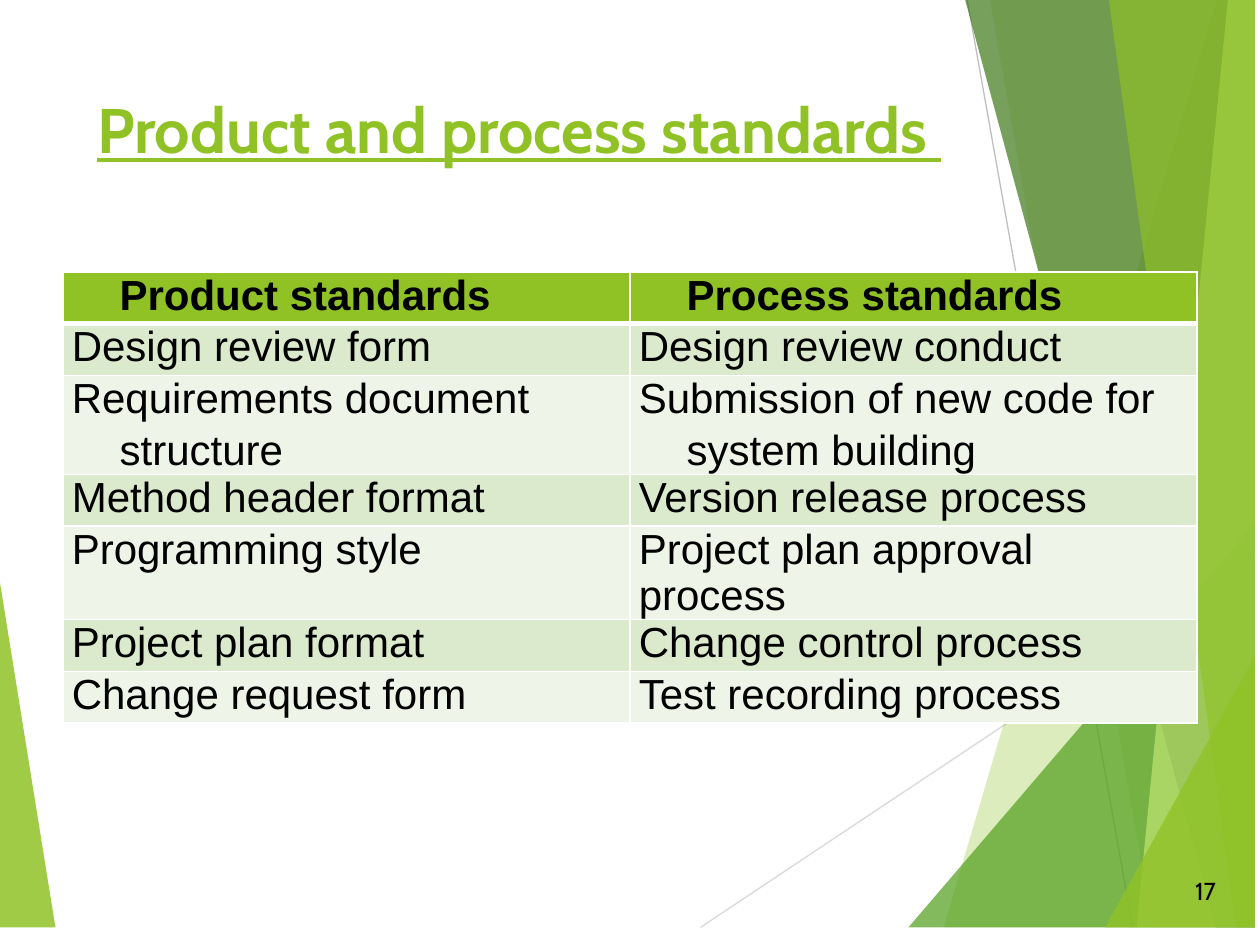
from lxml.etree import SubElement
from pptx import Presentation
from pptx.dml.color import RGBColor
from pptx.enum.shapes import MSO_CONNECTOR
from pptx.enum.text import MSO_ANCHOR, MSO_AUTO_SIZE, PP_ALIGN
from pptx.oxml.ns import qn
from pptx.util import Inches, Pt

THEME = {
    "green": "90C226", "leaf": "54A021", "forest": "3F7819", "lime": "C0E474",
    "band": ["EEF4E8", "DBE9CD"], "border": "FFFFFF", "text": "000000",
    "title_font": "Cabin", "table_font": "Arial",
    "title_size": Pt(36), "table_size": Pt(24), "number_size": Pt(14),
}


def style_font(font, name, size, color, bold=False):
    font.name, font.size, font.bold = name, size, bold
    font.color.rgb = RGBColor.from_string(color)


def add_border(cell, side, width):
    line = SubElement(cell._tc.get_or_add_tcPr(), qn(f"a:{side}"), w=str(Pt(width)))
    fill = SubElement(line, qn("a:solidFill"))
    SubElement(fill, qn("a:srgbClr"), val=THEME["border"])


presentation = Presentation()
presentation.slide_width, presentation.slide_height = Inches(10), Inches(7.5)
slide = presentation.slides.add_slide(presentation.slide_layouts[5])
shapes = slide.shapes

# Background facets: colour, opacity in percent, corners in inches
TOP, BOTTOM, RIGHT = -0.15, 7.36, 9.96
left_facet = ("green", 85, [(-0.06, 4.25), (0.44, BOTTOM), (-0.06, BOTTOM)])
right_facets = [
    ("green", 30, [(9.7, TOP), (7.49, BOTTOM), (RIGHT, BOTTOM), (RIGHT, TOP)]),
    ("green", 20, [(7.83, TOP), (9.15, BOTTOM), (RIGHT, BOTTOM), (RIGHT, TOP)]),
    ("leaf", 72, [(7.21, BOTTOM), (RIGHT, 4.15), (RIGHT, BOTTOM)]),
    ("forest", 70, [(7.62, TOP), (9.65, BOTTOM), (RIGHT, BOTTOM), (RIGHT, TOP)]),
    ("lime", 70, [(9.76, TOP), (9.02, BOTTOM), (RIGHT, BOTTOM), (RIGHT, TOP)]),
    ("green", 65, [(8.78, TOP), (9.81, BOTTOM), (RIGHT, BOTTOM), (RIGHT, TOP)]),
    ("green", 80, [(8.77, BOTTOM), (RIGHT, 5.21), (RIGHT, BOTTOM)]),
]
hairlines = [("D9D9D9", (5.56, BOTTOM), (RIGHT, 4.43)),
             ("BFBFBF", (7.65, TOP), (8.99, BOTTOM))]

for color, start, end in hairlines:
    hairline = shapes.add_connector(
        MSO_CONNECTOR.STRAIGHT, *map(Inches, start), *map(Inches, end))
    hairline.line.color.rgb = RGBColor.from_string(color)
    hairline.line.width = Pt(0.75)
    SubElement(hairline._element.spPr, qn("a:effectLst"))

for color, opacity, corners in [left_facet, *right_facets]:
    start, *others = [(Inches(x), Inches(y)) for x, y in corners]
    builder = shapes.build_freeform(*start)
    builder.add_line_segments(others)
    facet = builder.convert_to_shape()
    facet.shadow.inherit = False
    facet.line.fill.background()
    facet.fill.solid()
    facet.fill.fore_color.rgb = RGBColor.from_string(THEME[color])
    color_element = facet._element.spPr.find(".//" + qn("a:srgbClr"))
    SubElement(color_element, qn("a:alpha"), val=str(opacity * 1000))

# Title, brought in front of the facets
title = shapes.title
title.left, title.top = Inches(0.67), Inches(0.67)
title.width, title.height = Inches(8.41), Inches(1.44)
title.text_frame.text = "Product and process standards "
title.text_frame.vertical_anchor = MSO_ANCHOR.TOP
title.text_frame.auto_size = MSO_AUTO_SIZE.NONE
paragraph = title.text_frame.paragraphs[0]
paragraph.alignment = PP_ALIGN.LEFT
style_font(paragraph.font, THEME["title_font"], THEME["title_size"], THEME["green"], True)
paragraph.font.underline = True
title.element.getparent().append(title.element)

# Table of standards; a line break starts an indented second paragraph
rows = [
    ("Product standards", "Process standards"),
    ("Design review form", "Design review conduct"),
    ("Requirements document\nstructure", "Submission of new code for\nsystem building"),
    ("Method header format", "Version release process"),
    ("Programming style", "Project plan approval process"),
    ("Project plan format", "Change control process"),
    ("Change request form", "Test recording process"),
]
ROW_HEIGHT = Inches(0.41)
table = shapes.add_table(len(rows), 2, Inches(0.5), Inches(2.16),
                         Inches(9), ROW_HEIGHT * len(rows)).table
for row_index, row in enumerate(rows):
    table.rows[row_index].height = ROW_HEIGHT
    is_header = row_index == 0
    for column_index, text in enumerate(row):
        cell = table.cell(row_index, column_index)
        cell.text = text
        cell.margin_left = cell.margin_right = Inches(0.07)
        cell.margin_top = cell.margin_bottom = 0
        for side in ("lnL", "lnR", "lnT", "lnB"):
            is_header_rule = (row_index, side) in ((0, "lnB"), (1, "lnT"))
            add_border(cell, side, 3 if is_header_rule else 1)
        cell.fill.solid()
        cell.fill.fore_color.rgb = RGBColor.from_string(
            THEME["green"] if is_header else THEME["band"][row_index % 2])
        for paragraph_index, paragraph in enumerate(cell.text_frame.paragraphs):
            style_font(paragraph.font, THEME["table_font"], THEME["table_size"],
                       THEME["text"], is_header)
            paragraph.space_after = Pt(3)
            if is_header:
                paragraph.space_before = Pt(3)
                paragraph.alignment = PP_ALIGN.JUSTIFY
            if is_header or paragraph_index > 0:
                paragraph._p.get_or_add_pPr().set("indent", str(Inches(0.38)))

# Slide number
number = shapes.add_textbox(Inches(9.19), Inches(6.87), Inches(0.56), Inches(0.4))
number.text_frame.word_wrap = True
number.text_frame.vertical_anchor = MSO_ANCHOR.MIDDLE
paragraph = number.text_frame.paragraphs[0]
paragraph.text = "17"
paragraph.alignment = PP_ALIGN.RIGHT
style_font(paragraph.font, THEME["title_font"], THEME["number_size"], THEME["text"])

presentation.save("out.pptx")
